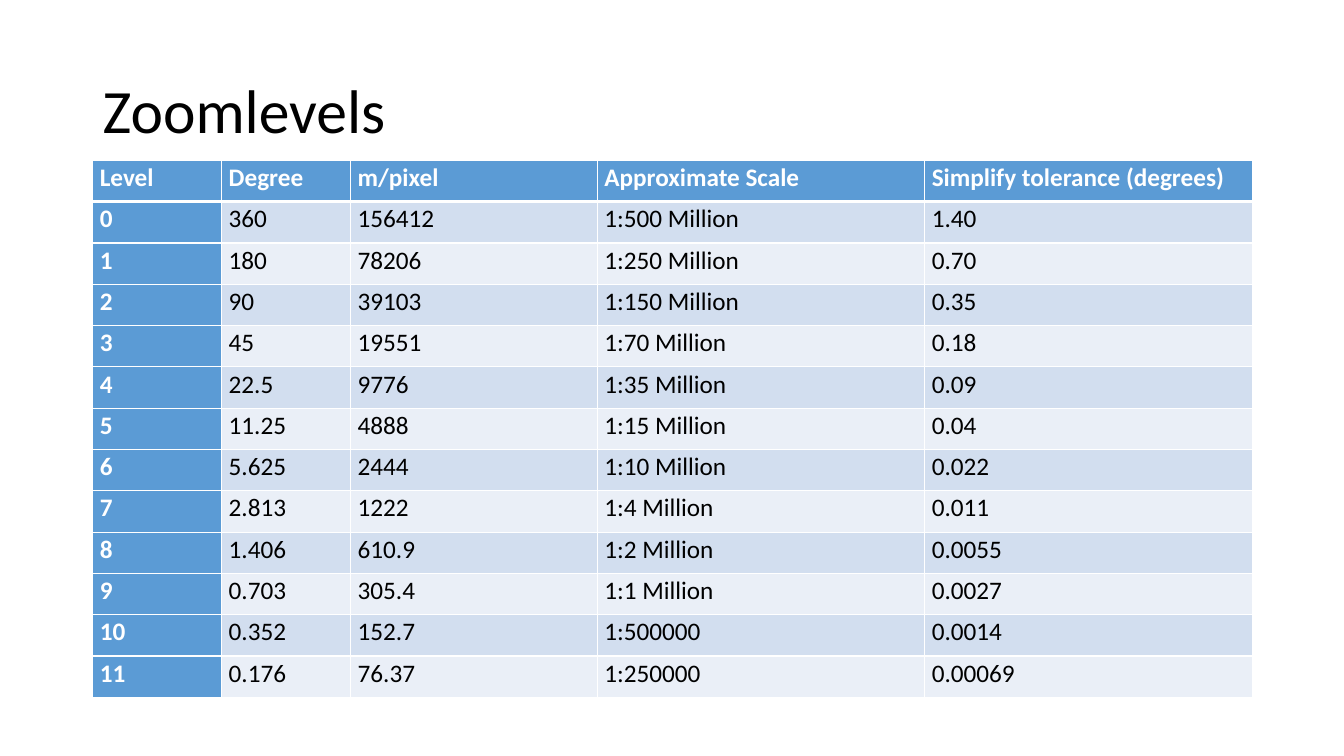
from lxml.etree import SubElement
from pptx import Presentation
from pptx.dml.color import RGBColor
from pptx.enum.text import MSO_ANCHOR
from pptx.oxml.ns import qn
from pptx.util import Inches, Pt

COLORS = {
    "text": "000000",
    "white": "FFFFFF",
    "header": "5B9BD5",
    "odd": "D2DEEF",
    "even": "EAEFF7",
}
FONT = "Calibri"
COLUMN_WIDTHS = [1.28, 1.28, 2.45, 3.25, 3.25]
ZOOMLEVELS = [
    ("Level", "Degree", "m/pixel", "Approximate Scale", "Simplify tolerance (degrees)"),
    ("0", "360", "156412", "1:500 Million", "1.40"),
    ("1", "180", "78206", "1:250 Million", "0.70"),
    ("2", "90", "39103", "1:150 Million", "0.35"),
    ("3", "45", "19551", "1:70 Million", "0.18"),
    ("4", "22.5", "9776", "1:35 Million", "0.09"),
    ("5", "11.25", "4888", "1:15 Million", "0.04"),
    ("6", "5.625", "2444", "1:10 Million", "0.022"),
    ("7", "2.813", "1222", "1:4 Million", "0.011"),
    ("8", "1.406", "610.9", "1:2 Million", "0.0055"),
    ("9", "0.703", "305.4", "1:1 Million", "0.0027"),
    ("10", "0.352", "152.7", "1:500000", "0.0014"),
    ("11", "0.176", "76.37", "1:250000", "0.00069"),
]


def write(tf, text, *, size, color="text", bold=False, spacing=1.0):
    p = tf.paragraphs[0]
    p.line_spacing = spacing
    r = p.add_run()
    r.text = text
    r.font.name = FONT
    r.font.size = Pt(size)
    r.font.bold = bold
    r.font.color.rgb = RGBColor.from_string(COLORS[color])


def set_borders(cell, **widths):
    """Draw white borders; widths gives points for L, R, T and B, in that order."""
    tcPr = cell._tc.get_or_add_tcPr()
    for side, width in widths.items():
        ln = SubElement(tcPr, qn(f"a:ln{side}"), w=str(Pt(width)))
        fill = SubElement(ln, qn("a:solidFill"))
        SubElement(fill, qn("a:srgbClr"), val=COLORS["white"])


def add_title(slide, text, left, top, width, height):
    box = slide.shapes.add_textbox(Inches(left), Inches(top), Inches(width), Inches(height))
    tf = box.text_frame
    tf.word_wrap = True
    tf.vertical_anchor = MSO_ANCHOR.MIDDLE
    write(tf, text, size=44, spacing=0.9)


def format_cell(cell, text, row, col):
    is_heading = row == 0 or col == 0
    cell.margin_left = cell.margin_right = Inches(0.07)
    cell.margin_top = cell.margin_bottom = 0
    set_borders(cell, L=1, R=1, T=3 if row == 1 else 1, B=3 if row == 0 else 1)
    band = "header" if is_heading else "odd" if row % 2 else "even"
    cell.fill.solid()
    cell.fill.fore_color.rgb = RGBColor.from_string(COLORS[band])
    write(cell.text_frame, text, size=18, spacing=1.07,
          color="white" if is_heading else "text", bold=is_heading)


def add_zoom_table(slide, rows, left, top, width, height):
    frame = slide.shapes.add_table(len(rows), len(COLUMN_WIDTHS), Inches(left),
                                   Inches(top), Inches(width), Inches(height))
    table = frame.table
    table.first_col = True
    for column, share in zip(table.columns, COLUMN_WIDTHS):
        column.width = Inches(width * share / sum(COLUMN_WIDTHS))
    for i, values in enumerate(rows):
        table.rows[i].height = Inches(height / len(rows))
        for j, text in enumerate(values):
            format_cell(table.cell(i, j), text, i, j)


def main():
    prs = Presentation()
    prs.slide_width, prs.slide_height = Inches(13.33), Inches(7.5)
    slide = prs.slides.add_slide(prs.slide_layouts[6])
    add_title(slide, "Zoomlevels", 0.92, 0.4, 11.5, 1.45)
    add_zoom_table(slide, ZOOMLEVELS, 0.92, 1.59, 11.5, 5.33)
    prs.save("out.pptx")


if __name__ == "__main__":
    main()
